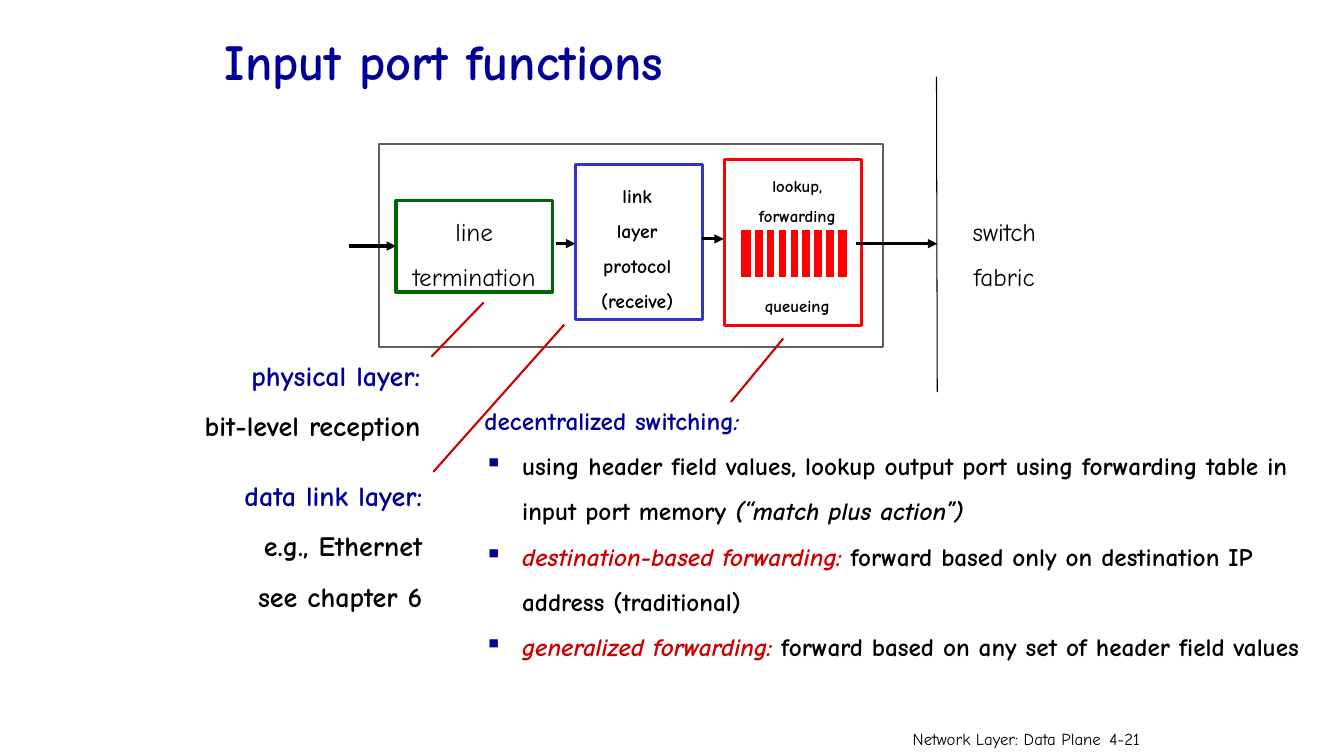
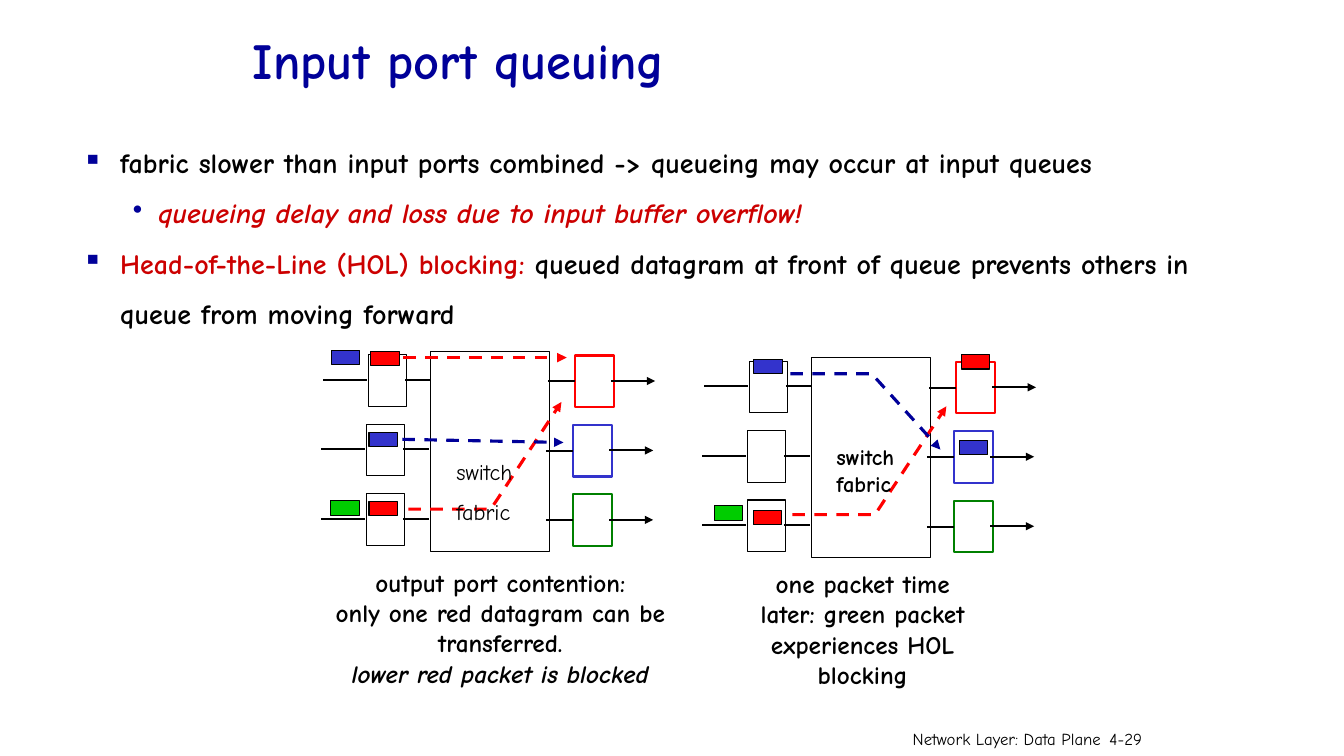
from lxml.etree import SubElement
from pptx import Presentation
from pptx.dml.color import RGBColor
from pptx.enum.dml import MSO_LINE
from pptx.enum.shapes import MSO_CONNECTOR, MSO_SHAPE
from pptx.enum.text import MSO_ANCHOR as ANCHOR, MSO_AUTO_SIZE, PP_ALIGN as ALIGN
from pptx.oxml.ns import qn
from pptx.util import Cm, Pt

FONT = "Comic Neue"
COLORS = {
    "white": "FFFFFF", "black": "000000", "gray": "5F5F5F", "navy": "000099",
    "blue": "3333CC", "red": "FF0000", "crimson": "CC0000", "lime": "00CC00",
    "green": "008000", "forest": "006600",
}


def color(name):
    return RGBColor.from_string(COLORS[name])


def style_font(font, ink=None, italic=None):
    if ink:
        font.color.rgb = color(ink)
    if italic is not None:
        font.italic = italic


def add_bullet(para, char, left, hang):
    props = para._p.get_or_add_pPr()
    props.set("marL", str(Cm(left)))
    props.set("indent", str(-Cm(hang)))
    if char:
        tint = SubElement(props, qn("a:buClr"))
        SubElement(tint, qn("a:srgbClr"), val=COLORS["navy"])
        SubElement(props, qn("a:buChar"), char=char)
    else:
        SubElement(props, qn("a:buNone"))


def write(frame, paras, size, bold=False, align=ALIGN.LEFT, spacing=1.5,
          anchor=ANCHOR.TOP):
    """Each paragraph is (spans, bullet); a span is (text, ink, italic)."""
    frame.word_wrap = True
    frame.auto_size = MSO_AUTO_SIZE.NONE
    frame.vertical_anchor = anchor
    for index, (spans, bullet) in enumerate(paras):
        para = frame.add_paragraph() if index else frame.paragraphs[0]
        para.alignment = align
        para.line_spacing = spacing
        if bullet:
            add_bullet(para, *bullet)
        para.font.name = FONT
        para.font.size = Pt(size)
        para.font.bold = bold
        if len(spans) == 1:
            style_font(para.font, *spans[0][1:])
        for text, *look in spans:
            span = para.add_run()
            span.text = text
            if len(spans) > 1:
                style_font(span.font, *look)


def plain(*lines, ink="black"):
    return [([(line, ink)], None) for line in lines]


def add_text(page, box, paras, size, **options):
    label = page.shapes.add_textbox(*map(Cm, box))
    write(label.text_frame, paras, size, **options)
    return label


def add_box(page, box, line, width, fill="white"):
    shape = page.shapes.add_shape(MSO_SHAPE.RECTANGLE, *map(Cm, box))
    shape.shadow.inherit = False
    shape.fill.solid()
    shape.fill.fore_color.rgb = color(fill)
    shape.line.color.rgb = color(line)
    shape.line.width = Pt(width)
    return shape


def add_path(page, points, ink="black", width=1.5, arrow=False, dashed=False):
    """Two points make a connector, more make an open freeform."""
    spots = [(Cm(x), Cm(y)) for x, y in points]
    if len(spots) == 2:
        path = page.shapes.add_connector(MSO_CONNECTOR.STRAIGHT, *spots[0], *spots[1])
    else:
        builder = page.shapes.build_freeform(*spots[0])
        builder.add_line_segments(spots[1:], close=False)
        path = builder.convert_to_shape()
        path.fill.background()
        path.shadow.inherit = False
    path.line.color.rgb = color(ink)
    path.line.width = Pt(width)
    if dashed:
        path.line.dash_style = MSO_LINE.DASH
    props = path.element.spPr
    if arrow:
        SubElement(props.find(qn("a:ln")), qn("a:tailEnd"), type="triangle")
    if len(spots) == 2:
        SubElement(props, qn("a:effectLst"))


def add_page(deck, title, box, number):
    page = deck.slides.add_slide(deck.slide_layouts[5])
    heading = page.shapes.title
    heading.left, heading.top, heading.width, heading.height = map(Cm, box)
    write(heading.text_frame, plain(title, ink="navy"), 36, bold=True,
          anchor=ANCHOR.MIDDLE)
    add_text(page, (27.71, 17.98, 1.55, 0.76), plain(number), 12)
    add_text(page, (21.95, 17.98, 6.05, 0.66), plain("Network Layer: Data Plane"),
             12, align=ALIGN.RIGHT)
    return page


def draw_queue(page, left, top, width, height):
    add_box(page, (left, top, width, height), "white", 3, fill="red")
    step = 0.3
    for slot in range(8):
        x = left + 0.35 + slot * step
        add_path(page, [(x, top), (x, top + height)], "white", 3)


def draw_input_port(page, left, top):
    centered = {"align": ALIGN.CENTER, "anchor": ANCHOR.MIDDLE}
    add_box(page, (left, top, 12.7, 5.11), "gray", 1.5)
    termination = add_box(page, (left + 0.43, top + 1.42, 3.94, 2.31), "forest", 2.25)
    write(termination.text_frame, plain("line", "termination"), 18, **centered)
    add_box(page, (left + 4.95, top + 0.51, 3.2, 3.91), "blue", 2.25)
    add_box(page, (left + 8.71, top + 0.38, 3.45, 4.19), "red", 2.25)
    add_text(page, (left + 5.05, top + 1.27, 2.92, 2.41),
             plain("link", "layer", "protocol", "(receive)"), 14, bold=True, **centered)
    lookup = add_text(page, (left + 9.2, top + 0.41, 2.69, 4.01),
                      plain("lookup,", "forwarding", "queueing"), 12, bold=True,
                      align=ALIGN.CENTER)
    lookup.text_frame.paragraphs[-1].space_before = Pt(43)
    draw_queue(page, left + 9.07, top + 2.11, 2.77, 1.3)
    for start, end, y in [(-0.76, 0.43, 2.57), (4.45, 4.95, 2.51),
                          (8.15, 8.69, 2.39), (12.01, 14.07, 2.51)]:
        add_path(page, [(left + start, top + y), (left + end, top + y)],
                 width=2.25, arrow=True)
    add_path(page, [(left + 14.05, top - 1.7), (left + 14.07, top + 6.25)], width=0.75)
    add_text(page, (left + 14.3, top + 1.42, 2.92, 2.31), plain("switch", "fabric"),
             18, **centered)


def layer_note(page, box, heading, *lines):
    add_text(page, box, plain(heading, ink="navy") + plain(*lines), 20,
             bold=True, align=ALIGN.RIGHT)


def build_functions(deck):
    page = add_page(deck, "Input port functions", (5.41, 0.28, 21.59, 1.7), "4-21")
    draw_input_port(page, 9.55, 3.63)
    square = ("▪", 0.95, 0.95)
    add_text(page, (11.96, 9.7, 21.69, 7.42), [
        ([("decentralized switching", "navy"), (":", "navy", True)], (None, 0.95, 0.95)),
        ([("using header field values, lookup output port using forwarding table "
           "in input port memory ", "black"),
          ("(“match plus action”)", "black", True)], square),
        ([("destination-based forwarding: ", "crimson", True),
          ("forward based only on destination IP address (traditional)", "black")],
         square),
        ([("generalized forwarding: ", "crimson", True),
          ("forward based on any set of header field values", "black")], square),
    ], 18, bold=True)
    layer_note(page, (3.94, 8.48, 6.91, 2.69), "physical layer:", "bit-level reception")
    layer_note(page, (4.42, 11.51, 6.48, 3.96), "data link layer:",
               "e.g., Ethernet", "see chapter 6")
    for pointer in [[(10.87, 8.99), (12.19, 7.62)], [(10.92, 11.89), (14.22, 8.18)],
                    [(18.42, 10.13), (19.74, 8.53)]]:
        add_path(page, pointer, "crimson")


def draw_switch(page, left, top, packets, flights):
    """Draw fabric, three port rows, packets and dashed flights from a corner."""
    add_box(page, (left, top, 3, 5.03), "black", 0.75)
    for row, output in enumerate(["red", "blue", "green"]):
        x = left + (0 if row else 0.05)
        y = top + row * 1.75
        add_box(page, (x - 1.62, y + 0.08, 0.97, 1.3), "black", 0.75)
        add_box(page, (x + 3.6, y + 0.1, 0.97, 1.3), output, 1.5)
        for start, end, drop in [(-2.75, -1.64, 0.71), (-0.69, -0.04, 0.71),
                                 (2.92, 3.58, 0.75), (4.5, 5.61, 0.74)]:
            add_path(page, [(x + start, y + drop), (x + end, y + drop)],
                     arrow=start == 4.5)
    for dx, dy, fill in packets:
        add_box(page, (left + dx, top + dy, 0.71, 0.36), "black", 0.75, fill)
    for ink, points in flights:
        add_path(page, [(left + dx, top + dy) for dx, dy in points], ink, 2.25,
                 arrow=True, dashed=True)


def build_queuing(deck):
    page = add_page(deck, "Input port queuing", (6.12, 0.48, 21.59, 1.27), "4-29")
    square, dot = ("▪", 0.95, 0.95), ("•", 1.91, 0.64)
    add_text(page, (1.83, 3.12, 30.38, 7.37), [
        ([("fabric slower than input ports combined -> queueing may occur at "
           "input queues", "black")], square),
        ([("queueing delay and loss due to input buffer overflow!", "crimson", True)],
         dot),
        ([("Head-of-the-Line (HOL) blocking:", "crimson"),
          (" queued datagram at front of queue prevents others in queue from "
           "moving forward", "black")], square),
    ], 20, bold=True)

    draw_switch(
        page, 10.85, 8.86,
        [(-1.5, 0, "red"), (-1.55, 2.03, "blue"), (-1.55, 3.78, "red"),
         (-2.49, -0.03, "blue"), (-2.51, 3.76, "lime")],
        [("red", [(-0.69, 0.15), (3.43, 0.15)]),
         ("red", [(-0.56, 3.97), (1.52, 3.97), (3.3, 1.27)]),
         ("navy", [(-0.71, 2.21), (3.35, 2.29)])])
    add_text(page, (11.25, 11.07, 2.24, 2.18), plain("switch", "fabric"), 16)
    caption = plain("output port contention:",
                    "only one red datagram can be transferred.")
    caption.append(([("lower red packet is blocked", "black", True)], None))
    add_text(page, (7.9, 14.17, 9.42, 3.33), caption, 18, bold=True,
             align=ALIGN.CENTER, spacing=1)

    draw_switch(
        page, 20.45, 9.02,
        [(3.78, -0.08, "red"), (-1.45, 0.03, "blue"), (-1.47, 3.84, "red"),
         (-2.44, 3.73, "lime"), (3.73, 2.08, "blue")],
        [("red", [(-0.48, 3.95), (1.6, 3.95), (3.4, 1.22)]),
         ("navy", [(-0.53, 0.4), (1.52, 0.4), (3.25, 2.31)])])
    add_text(page, (20.83, 11.05, 2.24, 1.63), plain("switch", "fabric"), 16,
             bold=True, spacing=1)
    add_text(page, (18.64, 14.2, 6.2, 4.11),
             plain("one packet time later: green packet experiences HOL blocking"),
             18, bold=True, align=ALIGN.CENTER, spacing=1)


def main():
    deck = Presentation()
    deck.slide_width, deck.slide_height = Cm(33.87), Cm(19.05)
    build_functions(deck)
    build_queuing(deck)
    deck.save("out.pptx")


if __name__ == "__main__":
    main()
